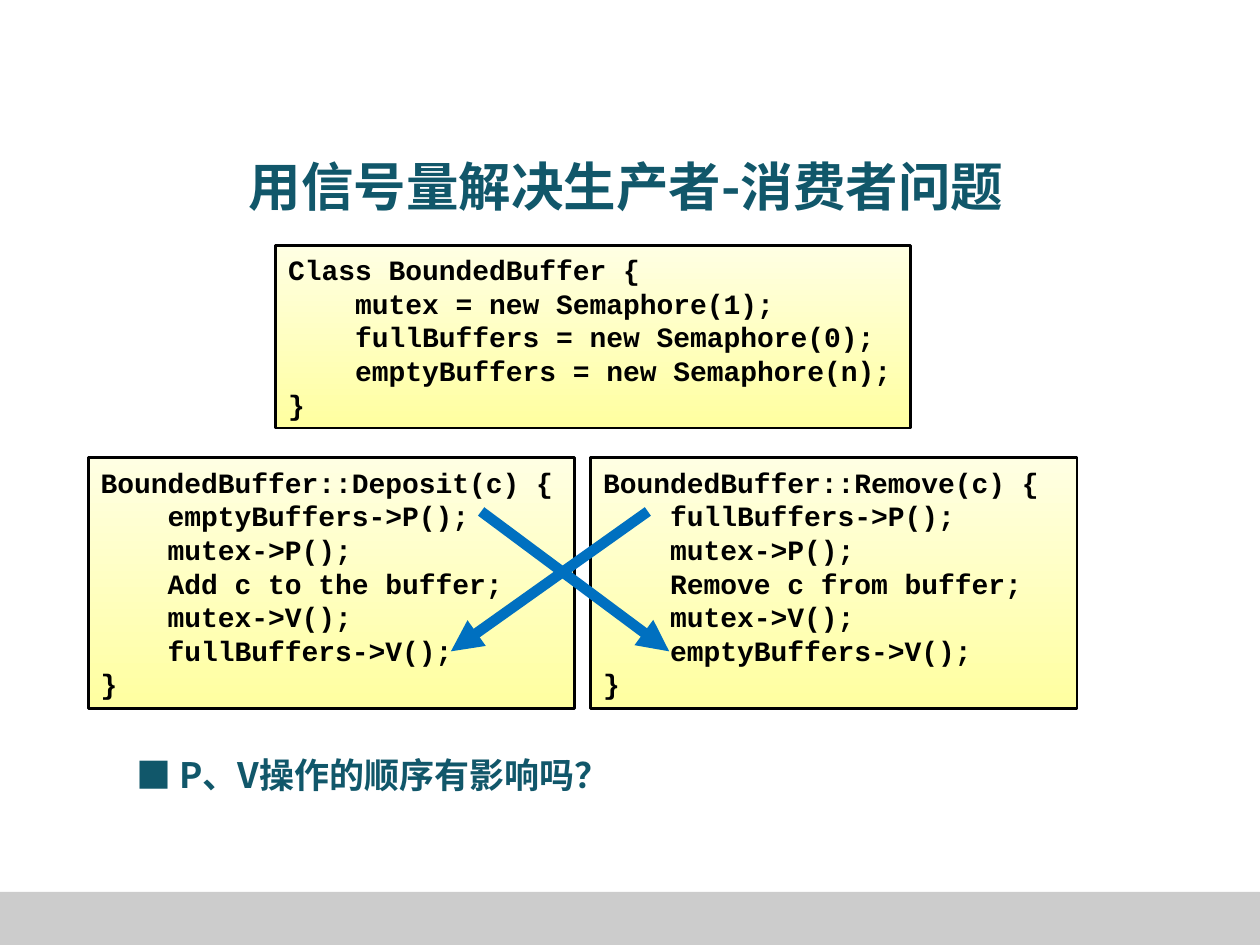
from lxml.etree import SubElement
from pptx import Presentation
from pptx.dml.color import RGBColor
from pptx.enum.shapes import MSO_CONNECTOR as Connector, MSO_SHAPE as Shape
from pptx.enum.text import MSO_ANCHOR as Anchor, MSO_AUTO_SIZE as AutoSize, PP_ALIGN as Align
from pptx.oxml.ns import qn
from pptx.util import Cm, Pt

COLORS = {
    "teal": "11576A", "black": "000000", "arrow": "0070C0", "footer": "CCCCCC",
    "code_bottom": "FFFFA0", "code_top": "FFFFE3",
}
CJK_FONT = "Noto Sans CJK SC"
CODE_FONT = "Courier New"

TITLE = "用信号量解决生产者-消费者问题"
QUESTION = "P、V操作的顺序有影响吗？"
CLASS_CODE = [
    "Class BoundedBuffer {",
    "    mutex = new Semaphore(1);",
    "    fullBuffers = new Semaphore(0);",
    "    emptyBuffers = new Semaphore(n);",
    "}",
]
METHODS = [
    [
        "BoundedBuffer::Deposit(c) {",
        "    emptyBuffers->P();",
        "    mutex->P();",
        "    Add c to the buffer;",
        "    mutex->V();",
        "    fullBuffers->V();",
        "}",
    ],
    [
        "BoundedBuffer::Remove(c) {",
        "    fullBuffers->P();",
        "    mutex->P();",
        "    Remove c from buffer;",
        "    mutex->V();",
        "    emptyBuffers->V();",
        "}",
    ],
]
ARROWS = [(9.7, 13.49), (13.06, 9.09)]
ARROW_TOP, ARROW_BOTTOM = 10.31, 13.13
METHOD_LEFT, METHOD_TOP, METHOD_WIDTH, METHOD_GAP = 1.78, 9.22, 9.8, 0.33
LINE_HEIGHT, CODE_PADDING = 0.69, 0.23


def color(name):
    """Return the named colour."""
    return RGBColor.from_string(COLORS[name])


def place(shape, left, top, width, height):
    """Move and size a shape in centimetres."""
    shape.left, shape.top, shape.width, shape.height = map(Cm, (left, top, width, height))


def write(shape, lines, font=CJK_FONT, size=20, fill="teal", align=Align.LEFT,
          anchor=Anchor.TOP, spacing=1.0, bullet=None, indent=0):
    """Write lines as formatted paragraphs in a shape."""
    frame = shape.text_frame
    frame.word_wrap = True
    frame.auto_size = AutoSize.NONE
    frame.vertical_anchor = anchor
    for index, line in enumerate(lines):
        paragraph = frame.add_paragraph() if index else frame.paragraphs[0]
        paragraph.alignment = align
        paragraph.line_spacing = spacing
        paragraph.space_before = Pt(0)
        if bullet:
            properties = paragraph._p.get_or_add_pPr()
            properties.set("marL", str(Cm(indent)))
            properties.set("indent", str(-Cm(indent)))
            SubElement(properties, qn("a:buFont"), typeface=font)
            SubElement(properties, qn("a:buChar"), char=bullet)
        run = paragraph.add_run()
        run.text = line
        run.font.name = font
        run.font.size = Pt(size)
        run.font.bold = True
        run.font.color.rgb = color(fill)
        SubElement(run._r.get_or_add_rPr(), qn("a:ea"), typeface=font)


def add_rectangle(slide, left, top, width, height):
    """Add a rectangle without shadow."""
    shape = slide.shapes.add_shape(Shape.RECTANGLE, *map(Cm, (left, top, width, height)))
    shape.shadow.inherit = False
    return shape


def add_code(slide, lines, left, top, width):
    """Add a gradient box as tall as its code."""
    shape = add_rectangle(slide, left, top, width, len(lines) * LINE_HEIGHT + CODE_PADDING)
    shape.fill.gradient()
    shape.fill.gradient_angle = 90
    for stop, name in zip(shape.fill.gradient_stops, ("code_bottom", "code_top")):
        stop.color.rgb = color(name)
    shape.line.color.rgb = color("black")
    shape.line.width = Pt(1.5)
    write(shape, lines, font=CODE_FONT, size=16, fill="black", anchor=Anchor.MIDDLE)


def add_arrow(slide, start, end):
    """Add a thick arrow between the two methods."""
    arrow = slide.shapes.add_connector(
        Connector.STRAIGHT, Cm(start), Cm(ARROW_TOP), Cm(end), Cm(ARROW_BOTTOM))
    arrow.line.color.rgb = color("arrow")
    arrow.line.width = Pt(6)
    SubElement(arrow.line._get_or_add_ln(), qn("a:tailEnd"), type="triangle")
    SubElement(arrow._element.spPr, qn("a:effectLst"))


def main():
    """Build the semaphore slide."""
    presentation = Presentation()
    presentation.slide_width, presentation.slide_height = Cm(25.4), Cm(19.05)
    slide = presentation.slides.add_slide(presentation.slide_layouts[1])

    footer = add_rectangle(slide, 0, 17.98, 25.4, 1.07)
    footer.fill.solid()
    footer.fill.fore_color.rgb = color("footer")
    footer.line.fill.background()

    title, body = slide.placeholders
    place(title, 1.19, 3.02, 22.86, 1.42)
    write(title, [TITLE], size=30, align=Align.CENTER, anchor=Anchor.MIDDLE)
    place(body, 2.49, 15.24, 10.34, 1.04)
    write(body, [QUESTION], spacing=0.77, bullet="■", indent=0.87)

    add_code(slide, CLASS_CODE, 5.56, 4.95, 12.8)
    for index, lines in enumerate(METHODS):
        left = METHOD_LEFT + index * (METHOD_WIDTH + METHOD_GAP)
        add_code(slide, lines, left, METHOD_TOP, METHOD_WIDTH)
    for start, end in ARROWS:
        add_arrow(slide, start, end)

    presentation.save("out.pptx")


if __name__ == "__main__":
    main()
